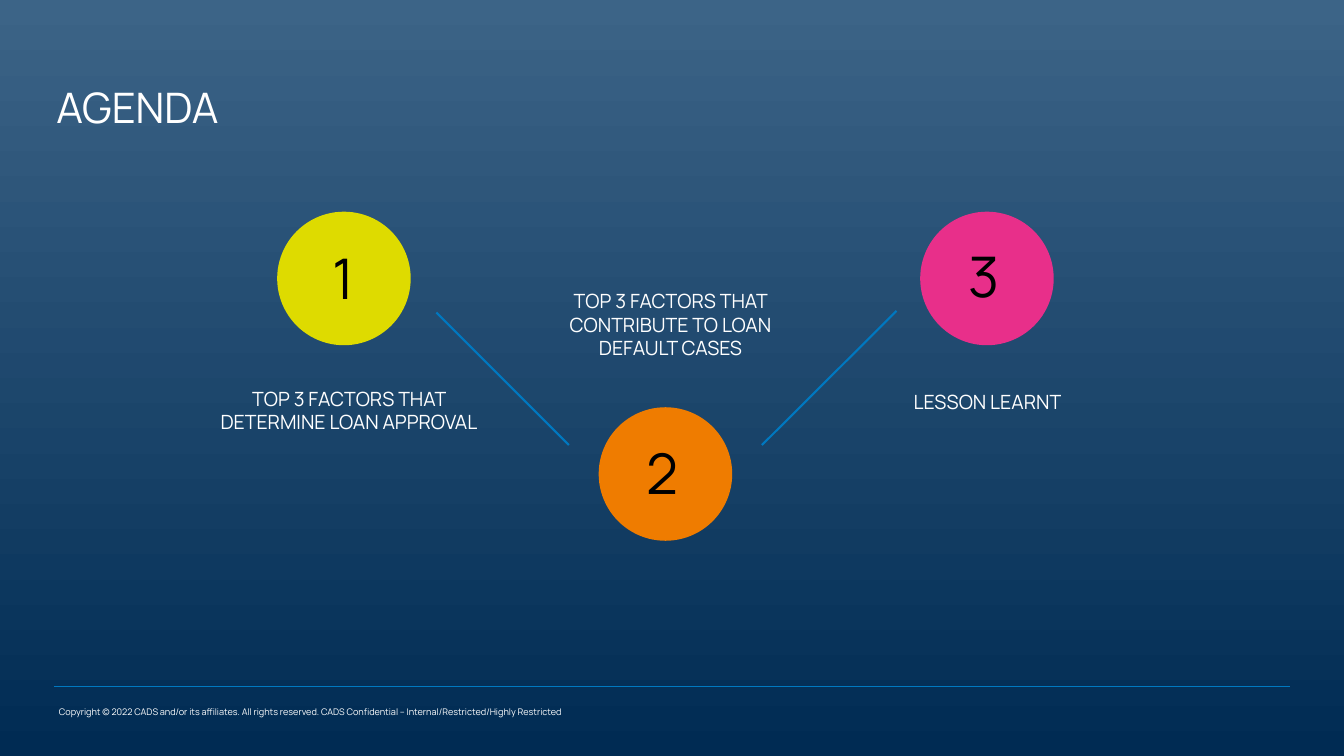
"""Builds the agenda slide with three numbered topics joined in a V."""
import lxml.etree
import pptx
import pptx.dml.color
import pptx.enum.shapes
import pptx.enum.text
import pptx.oxml.ns
import pptx.util

PX = 9144
WIDTH, HEIGHT = 2667, 1500
DIAMETER = 265
LABEL_WIDTH = 563
COLORS = {
    "sky": "3C6487",
    "navy": "002B53",
    "blue": "0078C0",
    "white": "FFFFFF",
    "black": "000000",
    "yellow": "DEDB00",
    "orange": "EF7C00",
    "pink": "E82F8A",
}
TOPICS = [
    {"circle": (550, 420, "yellow"), "number": ("1", 651, 489, 50),
     "label": ("TOP 3 FACTORS THAT DETERMINE LOAN APPROVAL", 411, 759, 110)},
    {"circle": (1826, 420, "pink"), "number": ("3", 1913, 485, 82),
     "label": ("LESSON LEARNT", 1678, 766, 63)},
    {"circle": (1188, 808, "orange"), "number": ("2", 1275, 875, 79),
     "label": ("TOP 3 FACTORS THAT CONTRIBUTE TO LOAN DEFAULT CASES", 1049, 565, 157)},
]
LINKS = [(1129, 883, 866, 620), (1512, 883, 1779, 617)]
COPYRIGHT = ("Copyright © 2022 CADS and/or its affiliates. All rights reserved. "
             "CADS Confidential – Internal/Restricted/Highly Restricted")


def rgb(name):
    return pptx.dml.color.RGBColor.from_string(COLORS[name])


class SlideWriter:
    """Holds the slide and its font, and draws each kind of element."""

    def __init__(self, slide, font_name):
        self.slide = slide
        self.font_name = font_name

    def background(self, top, bottom):
        fill = self.slide.background.fill
        fill.gradient()
        fill.gradient_angle = 270
        for stop, position, color in zip(fill.gradient_stops, (0, 1), (top, bottom)):
            stop.position = position
            stop.color.rgb = rgb(color)

    def line(self, ends, width):
        connector = self.slide.shapes.add_connector(
            pptx.enum.shapes.MSO_CONNECTOR.STRAIGHT, *(end * PX for end in ends))
        connector.line.color.rgb = rgb("blue")
        connector.line.width = pptx.util.Pt(width)
        lxml.etree.SubElement(connector._element.spPr, pptx.oxml.ns.qn("a:effectLst"))

    def circle(self, left, top, color):
        disc = self.slide.shapes.add_shape(
            pptx.enum.shapes.MSO_SHAPE.OVAL,
            left * PX, top * PX, DIAMETER * PX, DIAMETER * PX)
        disc.shadow.inherit = False
        disc.fill.solid()
        disc.fill.fore_color.rgb = rgb(color)
        disc.line.fill.background()

    def text(self, words, box, size, color="white", wrap=False, spacing=None,
             align="LEFT", anchor="MIDDLE"):
        frame = self.slide.shapes.add_textbox(*(length * PX for length in box)).text_frame
        frame_format = {
            "word_wrap": wrap,
            "auto_size": pptx.enum.text.MSO_AUTO_SIZE.SHAPE_TO_FIT_TEXT,
            "vertical_anchor": pptx.enum.text.MSO_ANCHOR[anchor],
            **{f"margin_{side}": 8 * PX for side in ("left", "top", "right", "bottom")},
        }
        for name, value in frame_format.items():
            setattr(frame, name, value)
        paragraph = frame.paragraphs[0]
        paragraph.alignment = pptx.enum.text.PP_ALIGN[align]
        paragraph.line_spacing = spacing
        run = paragraph.add_run()
        run.text = words
        for name, value in {"name": self.font_name, "size": pptx.util.Pt(size)}.items():
            setattr(run.font, name, value)
        run.font.color.rgb = rgb(color)


def main():
    deck = pptx.Presentation()
    deck.slide_width, deck.slide_height = WIDTH * PX, HEIGHT * PX
    agenda = SlideWriter(deck.slides.add_slide(deck.slide_layouts[6]), "Manrope")

    agenda.background("sky", "navy")
    agenda.line((108, 1362, 2559, 1362), 1.5)
    agenda.text(COPYRIGHT, (109, 1394, 1085, 38), 13)
    agenda.text("AGENDA", (104, 166, 368, 107), 60, spacing=0.9, anchor="TOP")
    for topic in TOPICS:
        agenda.circle(*topic["circle"])
        number, left, top, width = topic["number"]
        agenda.text(number, (left, top, width, 140), 80, "black", spacing=0.9)
    for link in LINKS:
        agenda.line(link, 3)
    for topic in TOPICS:
        label, left, top, height = topic["label"]
        agenda.text(label, (left, top, LABEL_WIDTH, height), 28, wrap=True, align="CENTER")

    deck.save("out.pptx")


if __name__ == "__main__":
    main()
